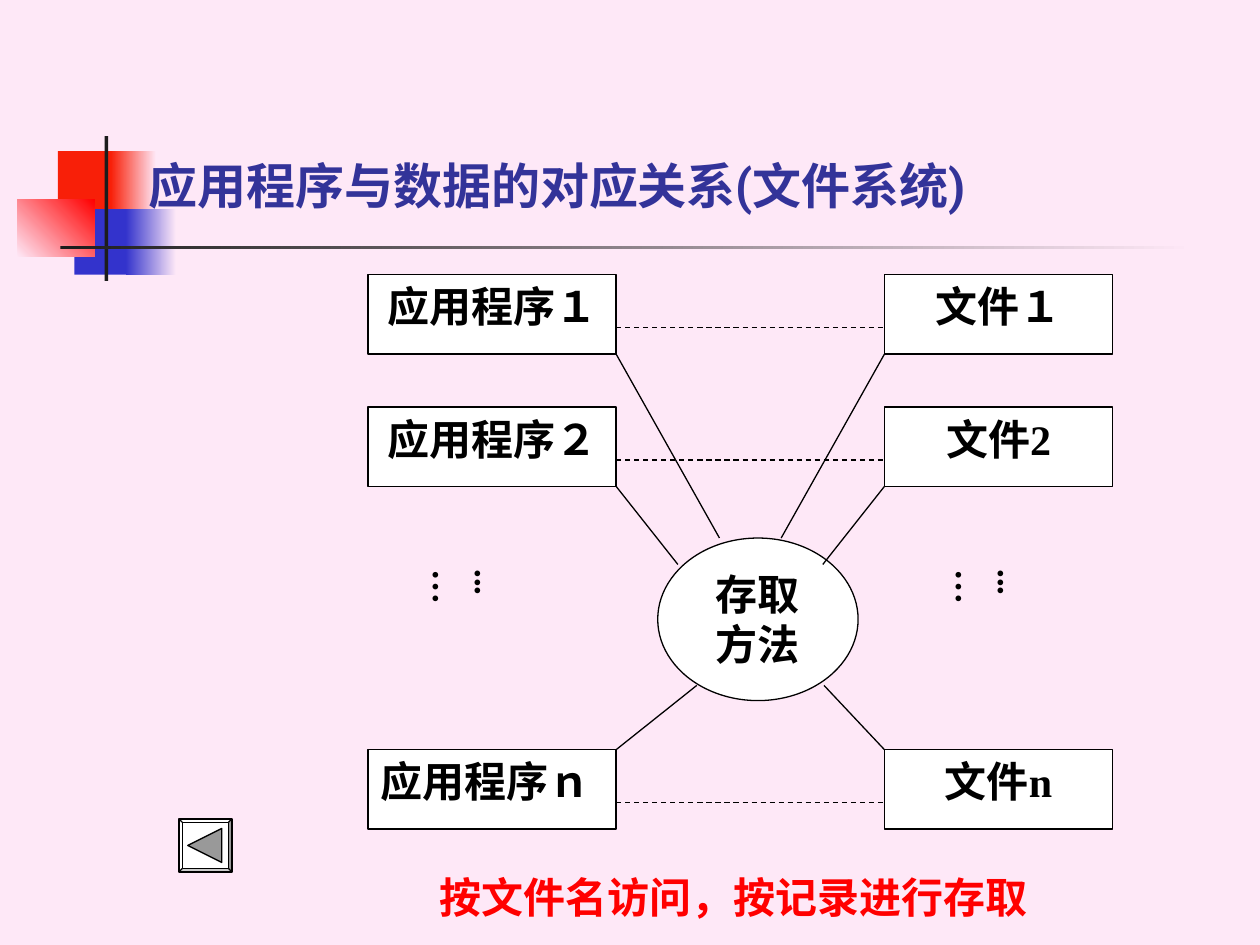
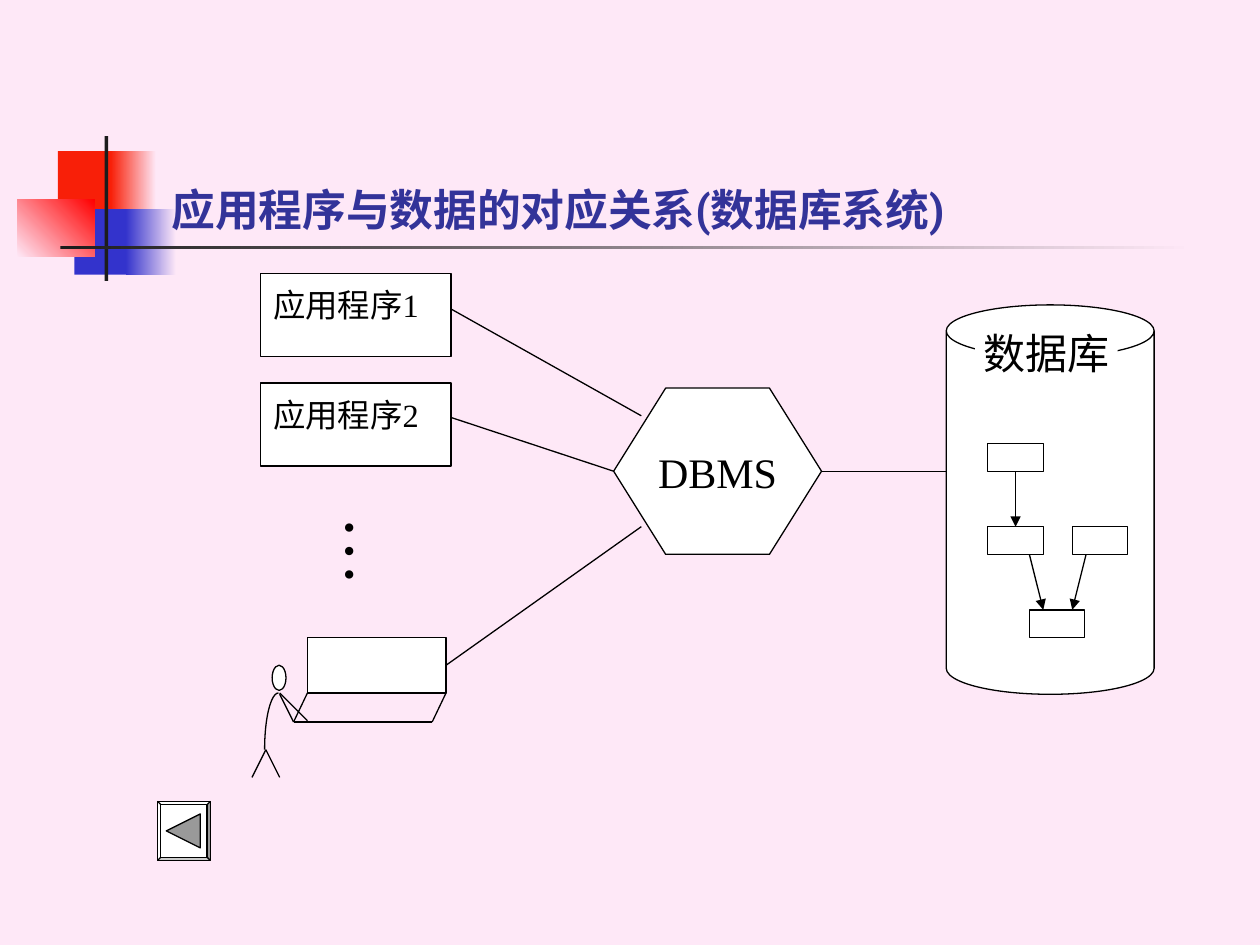
from dataclasses import dataclass
from typing import Any, NamedTuple, Optional

import lxml.etree
import pptx
import pptx.dml.color
import pptx.enum.dml
import pptx.enum.shapes
import pptx.enum.text
import pptx.oxml.ns
import pptx.util

Inches = pptx.util.Inches
Shape = pptx.enum.shapes.MSO_SHAPE
Align = pptx.enum.text.PP_ALIGN
Anchor = pptx.enum.text.MSO_ANCHOR
AutoSize = pptx.enum.text.MSO_AUTO_SIZE


@dataclass(frozen=True)
class Theme:
    background: str = "FEE8F7"
    title: str = "333399"
    ink: str = "000000"
    paper: str = "FFFFFF"
    accent: str = "FF0000"
    red: str = "F81F08"
    blue: str = "3333CC"
    rule: str = "1C1C1C"
    button: str = "999999"
    title_font: str = "Roboto"
    body_font: str = "Times New Roman"
    line_width: float = 0.75
    label_size: float = 24
    program_size: float = 18.5
    dots_size: float = 20
    big_dots_size: float = 40


THEME = Theme()


class Area(NamedTuple):
    left: float
    top: float
    width: float
    height: float

    def lengths(self) -> list[int]:
        return [Inches(value) for value in self]


class Band(NamedTuple):
    area: Area
    color: str
    end_color: Optional[str] = None
    angle: float = 0


class TextStyle(NamedTuple):
    size: float = THEME.label_size
    bold: bool = False
    color: str = THEME.ink
    font: str = THEME.body_font
    align: Any = Align.CENTER
    anchor: Any = Anchor.TOP
    insets: tuple[float, float, float, float] = (0.1, 0.05, 0.1, 0.05)
    line_spacing: Optional[float] = None


class Row(NamedTuple):
    """A program and its file, with the spokes that lead to the hub."""
    top: float
    program: str
    file: str
    align: Any
    spoke_offset: float
    hub_left: float
    hub_right: float
    hub_y: float


LABEL = TextStyle(bold=True)
BANDS = [
    Band(Area(0.46, 1.2, 0.48, 0.52), THEME.red),
    Band(Area(0.88, 1.2, 0.36, 0.52), THEME.red, THEME.background),
    Band(Area(0.59, 1.66, 0.46, 0.52), THEME.blue),
    Band(Area(1, 1.66, 0.4, 0.52), THEME.blue, THEME.background),
    Band(Area(0.14, 1.58, 0.61, 0.46), THEME.background, THEME.accent, 45),
    Band(Area(0.83, 1.08, 0.03, 1.15), THEME.rule),
    Band(Area(0.48, 1.95, 9, 0.03), THEME.rule, THEME.background),
]


def rgb(color: str) -> pptx.dml.color.RGBColor:
    return pptx.dml.color.RGBColor.from_string(color)


# Drawing helpers
def write(box: Any, text: str, style: TextStyle) -> None:
    frame = box.text_frame
    frame.word_wrap = True
    frame.vertical_anchor = style.anchor
    (frame.margin_left, frame.margin_top,
     frame.margin_right, frame.margin_bottom) = [Inches(value) for value in style.insets]
    para = frame.paragraphs[0]
    para.alignment = style.align
    if style.line_spacing:
        para.line_spacing = style.line_spacing
    span = para.add_run()
    span.text = text
    span.font.size = pptx.util.Pt(style.size)
    span.font.bold = style.bold
    span.font.name = style.font
    span.font.color.rgb = rgb(style.color)


def paint(shape: Any, fill: Optional[str] = THEME.paper, outlined: bool = True) -> None:
    shape.shadow.inherit = False
    if fill:
        shape.fill.solid()
        shape.fill.fore_color.rgb = rgb(fill)
    else:
        shape.fill.background()
    if outlined:
        shape.line.color.rgb = rgb(THEME.ink)
        shape.line.width = pptx.util.Pt(THEME.line_width)
    else:
        shape.line.fill.background()


def add_box(page: Any, area: Area, text: str = "", style: TextStyle = LABEL,
            kind: Any = Shape.RECTANGLE, fill: Optional[str] = THEME.paper,
            outlined: bool = True) -> Any:
    box = page.shapes.add_shape(kind, *area.lengths())
    paint(box, fill, outlined)
    if text:
        write(box, text, style)
    return box


def add_text(page: Any, area: Area, text: str, style: TextStyle, vertical: bool = False) -> None:
    box = page.shapes.add_textbox(*area.lengths())
    write(box, text, style)
    box.text_frame.auto_size = AutoSize.SHAPE_TO_FIT_TEXT
    if vertical:
        box.text_frame._txBody.bodyPr.set("vert", "eaVert")


def add_line(page: Any, start: tuple[float, float], end: tuple[float, float],
             dashed: bool = False, arrow: bool = False) -> Any:
    line = page.shapes.add_connector(
        pptx.enum.shapes.MSO_CONNECTOR.STRAIGHT, *[Inches(value) for value in start + end])
    line.line.color.rgb = rgb(THEME.ink)
    line.line.width = pptx.util.Pt(THEME.line_width)
    if dashed:
        line.line.dash_style = pptx.enum.dml.MSO_LINE.DASH
    properties = line._element.spPr
    qn = pptx.oxml.ns.qn
    if arrow:
        lxml.etree.SubElement(properties.find(qn("a:ln")), qn("a:tailEnd"), type="triangle")
    lxml.etree.SubElement(properties, qn("a:effectLst"))
    return line


def add_back_button(page: Any, area: Area) -> None:
    bevel = add_box(page, area, kind=Shape.BEVEL)
    bevel.adjustments[0] = 0.0625
    left, middle = area.left + 0.07, area.top + area.height / 2
    right, half = left + 0.27, 0.135
    builder = page.shapes.build_freeform(Inches(left), Inches(middle))
    builder.add_line_segments([(Inches(right), Inches(middle - half)),
                               (Inches(right), Inches(middle + half))], close=True)
    paint(builder.convert_to_shape(), THEME.button)


# Shared parts
def decorate_master(deck: Any, page: Any) -> None:
    """Set the background and move the bands behind everything on the master."""
    master = deck.slide_master
    master.background.fill.solid()
    master.background.fill.fore_color.rgb = rgb(THEME.background)
    tree = master.shapes._spTree
    for index, band in enumerate(BANDS):
        shape = add_box(page, band.area, fill=band.color, outlined=False)
        if band.end_color:
            shape.fill.gradient()
            shape.fill.gradient_angle = band.angle
            for stop, color, position in zip(
                    shape.fill.gradient_stops, (band.color, band.end_color), (0, 1)):
                stop.color.rgb = rgb(color)
                stop.position = position
        shape._element.nvSpPr.cNvPr.id = 100 + index
        tree.insert(2 + index, shape._element)


def add_page(deck: Any, title: str, area: Area, size: float) -> Any:
    page = deck.slides.add_slide(deck.slide_layouts.get_by_name("Title Only"))
    box = page.shapes.title
    box.left, box.top, box.width, box.height = area.lengths()
    write(box, title, TextStyle(size, True, THEME.title, THEME.title_font,
                                Align.LEFT, Anchor.BOTTOM))
    box.text_frame.auto_size = AutoSize.NONE
    return page


# Slide 1: file system
def draw_file_system(page: Any) -> None:
    program_left, program_right, file_left = 2.92, 4.89, 7.02
    file_width, height = 1.81, 0.63
    rows = [
        Row(2.18, "应用程序１", "文件１", Align.CENTER, height, 5.71, 6.2, 4.27),
        Row(3.23, "应用程序２", "文件2", Align.CENTER, height, 5.38, 6.53, 4.48),
        Row(5.95, "应用程序ｎ", "文件n", Align.JUSTIFY, 0, 5.53, 6.54, 5.44),
    ]
    add_box(page, Area(5.22, 4.27, 1.59, 1.29), "存取方法", kind=Shape.OVAL)
    for row in rows:
        add_box(page, Area(program_left, row.top, program_right - program_left, height),
                row.program, LABEL._replace(align=row.align))
        add_box(page, Area(file_left, row.top, file_width, height), row.file)
        dash_y, spoke_y = row.top + 0.42, row.top + row.spoke_offset
        add_line(page, (program_right, dash_y), (file_left, dash_y), dashed=True)
        add_line(page, (program_right, spoke_y), (row.hub_left, row.hub_y))
        add_line(page, (file_left, spoke_y), (row.hub_right, row.hub_y))

    dots = TextStyle(THEME.dots_size, True, align=Align.LEFT, insets=(0.05, 0.1, 0.05, 0.1))
    for left in (3.57, 7.72):
        add_text(page, Area(left, 4.42, 0.53, 0.67), "...…", dots, vertical=True)
    add_back_button(page, Area(1.42, 6.5, 0.42, 0.42))
    add_text(page, Area(2.95, 6.87, 5.75, 0.5), "按文件名访问，按记录进行存取",
             LABEL._replace(color=THEME.accent))


# Slide 2: database system
def draw_user(page: Any) -> None:
    """Draw the seated user and the terminal, and link the screen to the hub."""
    screen = add_box(page, Area(2.44, 5.06, 1.1, 0.44))
    strokes = [
        ((2.44, 5.5), (2.33, 5.73)), ((3.54, 5.5), (3.43, 5.73)),  # keyboard sides
        ((2.33, 5.73), (3.43, 5.73)),                              # keyboard front
        ((2.22, 5.51), (2.33, 5.73)), ((2.22, 5.5), (2.44, 5.72)),  # arms
        ((2.11, 5.95), (2.22, 6.17)), ((2.11, 5.95), (2, 6.17)),   # legs
    ]
    for start, end in strokes:
        add_line(page, start, end)
    add_box(page, Area(2.16, 5.28, 0.11, 0.2), kind=Shape.OVAL)
    back = add_box(page, Area(2.1, 5.5, 0.22, 0.9), kind=Shape.ARC, fill=None)
    back.adjustments[0], back.adjustments[1] = 108, 162  # left to top, in 100000ths
    add_line(page, (3.54, 5.28), (5.09, 4.18)).begin_connect(screen, 3)


def draw_database(page: Any) -> None:
    add_box(page, Area(7.51, 2.42, 1.65, 3.09), kind=Shape.CAN)
    add_box(page, Area(7.74, 2.6, 1.13, 0.44), "数据库",
            TextStyle(insets=(0, 0, 0, 0)), outlined=False)
    root, child, _, _ = [
        add_box(page, Area(left, top, 0.44, 0.22))
        for left, top in ((7.84, 3.52), (7.84, 4.18), (8.51, 4.18), (8.17, 4.84))]
    link = add_line(page, (8.06, 3.74), (8.06, 4.18), arrow=True)
    link.begin_connect(root, 2)
    link.end_connect(child, 0)
    add_line(page, (8.17, 4.4), (8.28, 4.84), arrow=True)
    add_line(page, (8.62, 4.4), (8.51, 4.84), arrow=True)


def draw_database_system(page: Any) -> None:
    add_back_button(page, Area(1.25, 6.36, 0.42, 0.47))
    draw_user(page)
    hub = add_box(page, Area(4.87, 3.08, 1.65, 1.32), "DBMS",
                  TextStyle(anchor=Anchor.MIDDLE, insets=(0, 0, 0, 0)), Shape.HEXAGON)
    hub.adjustments[0] = 0.313
    draw_database(page)
    add_line(page, (6.52, 3.74), (7.51, 3.74))

    program = TextStyle(THEME.program_size, align=Align.JUSTIFY,
                        insets=(0.1, 0.13, 0.1, 0.05), line_spacing=0.9)
    for number, end in enumerate([(5.09, 3.3), (4.87, 3.74)]):
        top = 2.17 + 0.87 * number
        add_line(page, (3.54, top + 0.26), end)
        add_box(page, Area(2.07, top, 1.51, 0.66), f"应用程序{number + 1}", program)
    add_text(page, Area(2.5, 4, 0.86, 0.92), "…",
             TextStyle(THEME.big_dots_size, align=Align.LEFT, insets=(0.05, 0.1, 0.05, 0.1)),
             vertical=True)


def main() -> None:
    deck = pptx.Presentation()
    deck.slide_width, deck.slide_height = Inches(10), Inches(7.5)
    page = add_page(deck, "应用程序与数据的对应关系(文件系统)", Area(1.08, 0.5, 8.67, 1.25), 28)
    decorate_master(deck, page)
    draw_file_system(page)
    page = add_page(deck, "应用程序与数据的对应关系(数据库系统)", Area(1.26, 0.67, 8.52, 1.25), 25)
    draw_database_system(page)
    deck.save("out.pptx")


if __name__ == "__main__":
    main()
